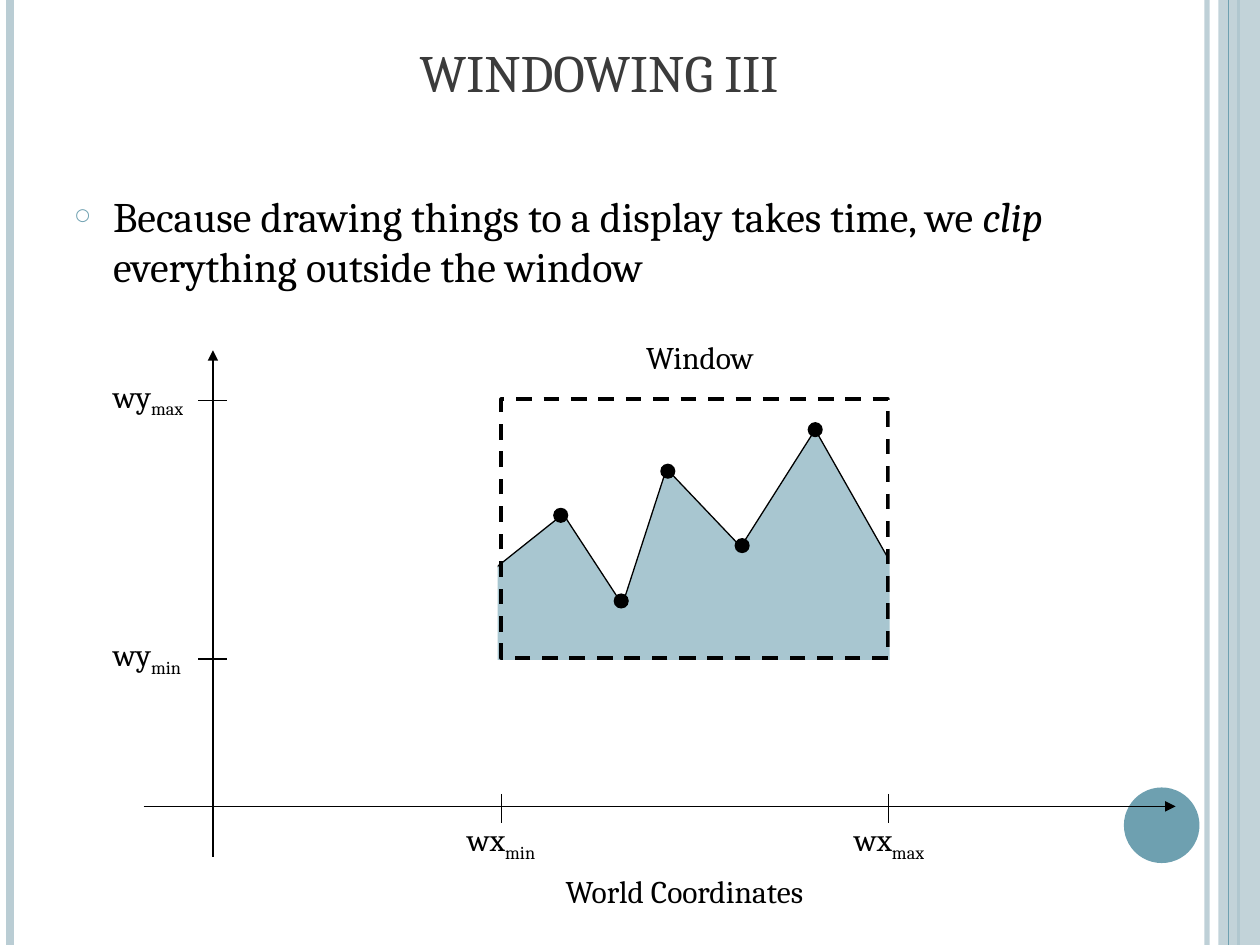
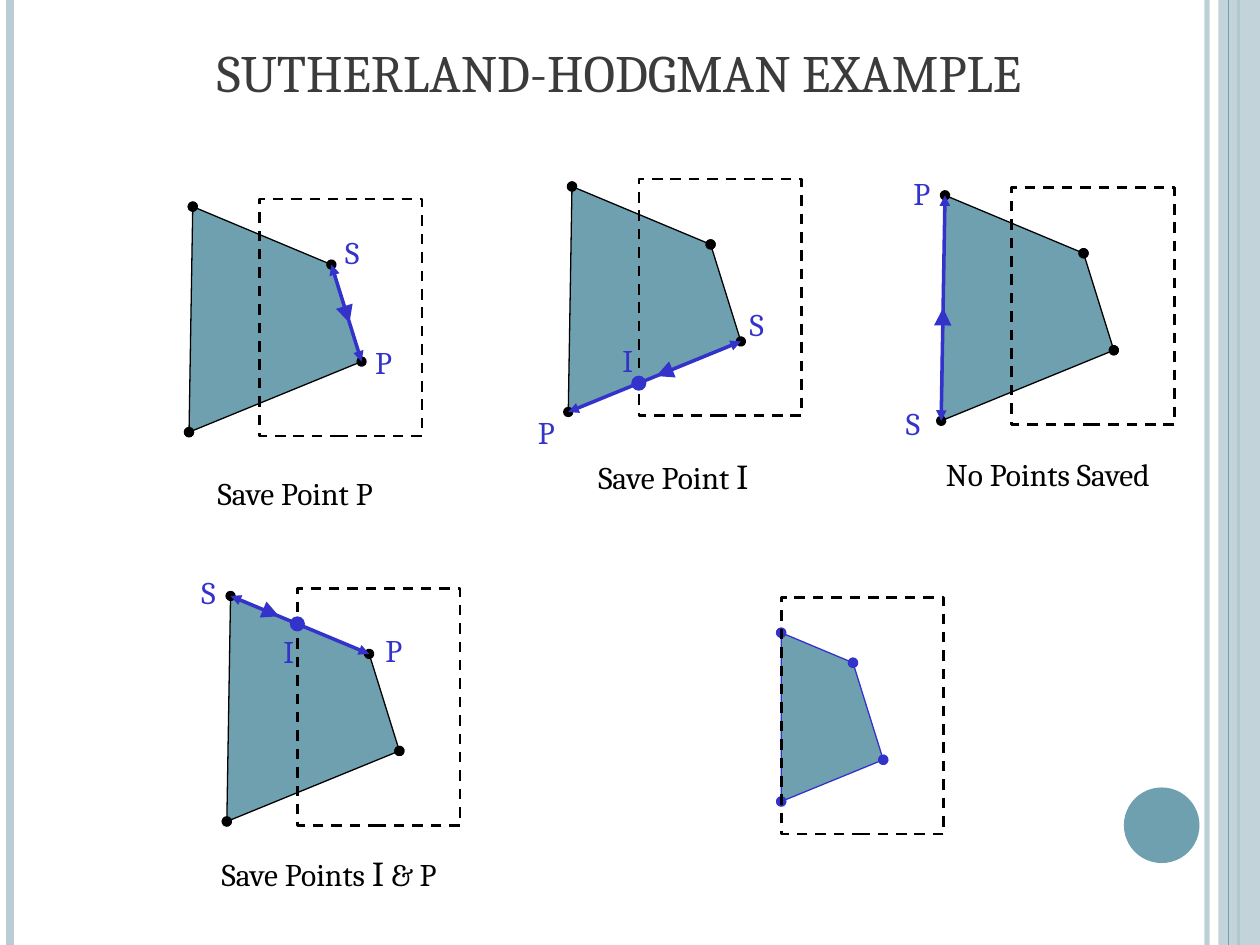
"""Build two slides on window clipping and the Sutherland-Hodgman algorithm."""
from lxml import etree
from pptx import Presentation, util as u
from pptx.dml.color import RGBColor
from pptx.enum import dml, shapes, text
from pptx.oxml.ns import qn

BLACK = RGBColor(0x00, 0x00, 0x00)
WHITE = RGBColor(0xFF, 0xFF, 0xFF)
GREY = RGBColor(0x3B, 0x3B, 0x3B)
TEAL = RGBColor(0x6E, 0xA0, 0xB0)
PALE = RGBColor(0xBA, 0xCD, 0xD4)
MIST = RGBColor(0xA8, 0xC6, 0xD0)
BLUE = RGBColor(0x33, 0x33, 0xCC)
CM_PER_INCH = 2.54
WIDTH, HEIGHT = 10, 7.5
FONT = "Cambria"
SUB = {"baseline": "-25000"}
BIG = {"size": u.Pt(20)}
RECT, OVAL = shapes.MSO_SHAPE.RECTANGLE, shapes.MSO_SHAPE.OVAL

SIDE_LINES = [(9.58, PALE, 3, 93), (0.08, PALE, 4.5, 100), (9.83, TEAL, 1.5, 100)]
BODY = [("Because drawing things to a display takes time, we ", {}),
        ("clip", {"italic": True}), (" everything outside the window", {})]

AXIS_X, AXIS_Y = 1.69, 6.4
WINDOW = (3.98, 3.17, 3.07, 2.05)
MASKS = [(1.93, 2.31, 2.02, 3.94), (7.06, 2.24, 2.02, 3.94), (2.79, 5.24, 4.96, 0.93)]
PEAKS = [(4.45, 4.09), (4.93, 4.77), (5.3, 3.74), (5.89, 4.33), (6.47, 3.41)]
TERRAIN = [(2.01, 6.04), (4.47, 4.08), (4.94, 4.8), (5.29, 3.72), (5.88, 4.34),
           (6.47, 3.41), (7.99, 6.09)]
TICK_LABEL = (0.85, 0.44)
Y_TICKS = [(3.18, "max"), (5.23, "min")]
X_TICKS = [(3.98, "min"), (7.05, "max")]
NAMES = [("World Coordinates", 4.39, 6.87, 2.11), ("Window", 5.03, 2.63, 1.06)]

CORNERS = [(0, 1.79), (0.03, 0), (1.13, 0.46), (1.37, 1.23)]
EDGES = [(1, 2), (2, 3), (3, 0), (0, 1)]
CLIP = (0.56, -0.06, 1.29, 1.88)
LETTER_WIDTH = {"S": 0.31, "P": 0.33, "I": 0.28}
PANELS = [
    {"origin": (1.5, 1.64), "path": (2, 3), "arrow": 0.6, "crosses": False,
     "letters": {"S": (1.14, 0.16), "P": (1.38, 1.03)},
     "caption": ([("Save Point P", {})], 0.13, 2.07, 1.44)},
    {"origin": (4.51, 1.48), "path": (3, 0), "arrow": 0.49, "crosses": True,
     "letters": {"S": (1.34, 0.89), "P": (-0.34, 1.75), "I": (0.33, 1.18)},
     "caption": ([("Save Point ", {}), ("I", BIG)], 0.14, 2.08, 1.4)},
    {"origin": (7.47, 1.55), "path": (0, 1), "arrow": 0.5, "crosses": False,
     "letters": {"P": (-0.32, -0.22), "S": (-0.38, 1.61)},
     "caption": ([("No Points Saved", {})], -0.06, 2.01, 1.83)},
    {"origin": (1.8, 4.73), "path": (1, 2), "arrow": 0.35, "crosses": True,
     "letters": {"S": (-0.3, -0.23), "P": (1.16, 0.23), "I": (0.35, 0.24)},
     "caption": ([("Save Points ", {}), ("I", BIG), (" & P", {})], -0.14, 1.98, 1.92)},
]
RESULT_ORIGIN = (5.64, 4.8)
RESULT_MASK = (-0.04, -0.23, 0.6, 2.19)


def lengths(*inches):
    return [u.Cm(v * CM_PER_INCH) for v in inches]


def shift(origin, point):
    return origin[0] + point[0], origin[1] + point[1]


def along(start, end, share):
    return tuple(a + (b - a) * share for a, b in zip(start, end))


def crossing(start, end):
    return along(start, end, (CLIP[0] - start[0]) / (end[0] - start[0]))


def set_alpha(fill, percent):
    color = fill._xPr.find(qn("a:solidFill"))[0]
    etree.SubElement(color, qn("a:alpha")).set("val", str(percent * 1000))


def paint(sp, fill=None, line=None, width=0.75, dash=None):
    sp.shadow.inherit = False
    if fill is None:
        sp.fill.background()
    else:
        sp.fill.solid()
        sp.fill.fore_color.rgb = fill
    if line is None:
        sp.line.fill.background()
    else:
        sp.line.color.rgb = line
        sp.line.width = u.Pt(width)
        sp.line.dash_style = dash
    return sp


def add_box(s, kind, box, **style):
    return paint(s.shapes.add_shape(kind, *lengths(*box)), **style)


def add_dot(s, center, color):
    add_box(s, OVAL, (center[0] - 0.06, center[1] - 0.06, 0.12, 0.12), fill=color)


def add_window(s, box, width):
    add_box(s, RECT, box, line=BLACK, width=width, dash=dml.MSO_LINE.DASH)


def add_outline(s, points, **style):
    points = [lengths(*p) for p in points]
    builder = s.shapes.build_freeform(*points[0], scale=1.0)
    builder.add_line_segments(points[1:], close=True)
    paint(builder.convert_to_shape(), **style)


def add_line(s, start, end, color=BLACK, width=0.75, head=None, tail=None, size="med"):
    cn = s.shapes.add_connector(shapes.MSO_CONNECTOR.STRAIGHT, *lengths(*start, *end))
    cn.line.color.rgb = color
    cn.line.width = u.Pt(width)
    ln = cn.line._get_or_add_ln()
    for tag, kind in (("a:headEnd", head), ("a:tailEnd", tail)):
        if kind:
            mark = etree.SubElement(ln, qn(tag))
            for key, value in {"type": kind, "w": size, "len": size}.items():
                mark.set(key, value)
    etree.SubElement(cn._element.spPr, qn("a:effectLst"))
    return cn


def add_text(s, runs, box, size=18, color=BLACK, **frame):
    tf = s.shapes.add_textbox(*lengths(*box)).text_frame
    for key, value in {"word_wrap": False, **frame}.items():
        setattr(tf, key, value)
    p = tf.paragraphs[0]
    for words, extra in runs:
        r = p.add_run()
        r.text = words
        r.font.color.rgb = color
        for key, value in {"name": FONT, "size": u.Pt(size), **extra}.items():
            if key == "baseline":
                r.font._element.set(key, value)
            else:
                setattr(r.font, key, value)
    return p


def add_slide(prs, title, title_left):
    s = prs.slides.add_slide(prs.slide_layouts[6])
    for x, color, width, alpha in SIDE_LINES:
        cn = add_line(s, (x, 0), (x, HEIGHT), color, width)
        if alpha < 100:
            set_alpha(cn.line.fill, alpha)
    band = add_box(s, RECT, (9.67, 0, 0.33, HEIGHT), fill=PALE)
    set_alpha(band.fill, 87)
    add_line(s, (9.75, 0), (9.75, HEIGHT), TEAL)
    add_box(s, OVAL, (8.92, 6.25, 0.6, 0.6), fill=TEAL)
    p = add_text(s, [(title, {})], (title_left, 0, 8.17, 0.87), 30, GREY,
                 word_wrap=True, vertical_anchor=text.MSO_ANCHOR.BOTTOM)
    p.alignment = text.PP_ALIGN.CENTER
    return s


def add_bullet(p):
    pPr = p._p.get_or_add_pPr()
    for key, value in {"marL": 0.3, "indent": -0.3}.items():
        pPr.set(key, str(lengths(value)[0]))
    color = etree.SubElement(pPr, qn("a:buClr"))
    etree.SubElement(color, qn("a:srgbClr")).set("val", str(TEAL))
    for tag, key, value in (("a:buSzPct", "val", "40000"), ("a:buFont", "typeface", FONT),
                            ("a:buChar", "char", "○")):
        etree.SubElement(pPr, qn(tag)).set(key, value)


def build_windowing(prs):
    s = add_slide(prs, "WINDOWING III", 0.67)
    add_outline(s, TERRAIN, fill=MIST, line=BLACK)
    add_line(s, (1.14, AXIS_Y), (9.33, AXIS_Y), tail="triangle")
    add_line(s, (AXIS_X, 6.8), (AXIS_X, 2.78), tail="triangle")
    add_window(s, WINDOW, 2.25)
    for mask in MASKS:
        add_box(s, RECT, mask, fill=WHITE)
    for peak in PEAKS:
        add_dot(s, peak, BLACK)
    add_bullet(add_text(s, BODY, (0.5, 1.46, 9, 1.43), 24, word_wrap=True))
    for y, limit in Y_TICKS:
        add_line(s, (AXIS_X + 0.11, y), (AXIS_X - 0.12, y))
        add_text(s, [("wy", {}), (limit, SUB)], (0.8, y - 0.24, *TICK_LABEL))
    for x, limit in X_TICKS:
        add_line(s, (x, AXIS_Y - 0.1), (x, AXIS_Y + 0.13))
        add_text(s, [("wx", {}), (limit, SUB)], (x - 0.37, 6.46, *TICK_LABEL))
    for name, x, y, width in NAMES:
        add_text(s, [(name, {})], (x, y, width, 0.4))


def add_panel(s, panel):
    origin, path = panel["origin"], panel["path"]
    corners = [shift(origin, c) for c in CORNERS]
    start, end = (corners[i] for i in path)
    add_outline(s, corners, fill=TEAL)
    add_window(s, (*shift(origin, CLIP), *CLIP[2:]), 1.5)
    for a, b in EDGES:
        if (a, b) != path:
            add_line(s, corners[a], corners[b], head="oval", tail="oval")
    add_line(s, start, end, BLUE, 2, "triangle", "triangle")
    add_line(s, along(start, end, 0.06), along(start, end, panel["arrow"]), BLUE, 1.5,
             tail="triangle", size="lg")
    if panel["crosses"]:
        add_dot(s, shift(origin, crossing(*(CORNERS[i] for i in path))), BLUE)
    for letter, place in panel["letters"].items():
        box = (*shift(origin, place), LETTER_WIDTH[letter], 0.4)
        add_text(s, [(letter, {})], box, color=BLUE)
    runs, x, y, width = panel["caption"]
    add_text(s, runs, (*shift(origin, (x, y)), width, 0.4))


def add_result(s):
    add_outline(s, [shift(RESULT_ORIGIN, c) for c in CORNERS], fill=TEAL)
    add_box(s, RECT, (*shift(RESULT_ORIGIN, RESULT_MASK), *RESULT_MASK[2:]), fill=WHITE)
    bottom_left, top_left, top_right, bottom_right = CORNERS
    clipped = [crossing(top_left, top_right), top_right, bottom_right,
               crossing(bottom_right, bottom_left)]
    clipped = [shift(RESULT_ORIGIN, c) for c in clipped]
    for start, end in zip(clipped, clipped[1:] + clipped[:1]):
        add_line(s, start, end, BLUE, head="oval", tail="oval")
    add_window(s, (*shift(RESULT_ORIGIN, CLIP), *CLIP[2:]), 1.5)


def build_example(prs):
    s = add_slide(prs, "SUTHERLAND-HODGMAN EXAMPLE", 0.83)
    for panel in PANELS:
        add_panel(s, panel)
    add_result(s)


def main():
    prs = Presentation()
    prs.slide_width, prs.slide_height = lengths(WIDTH, HEIGHT)
    build_windowing(prs)
    build_example(prs)
    prs.save("out.pptx")


if __name__ == "__main__":
    main()
